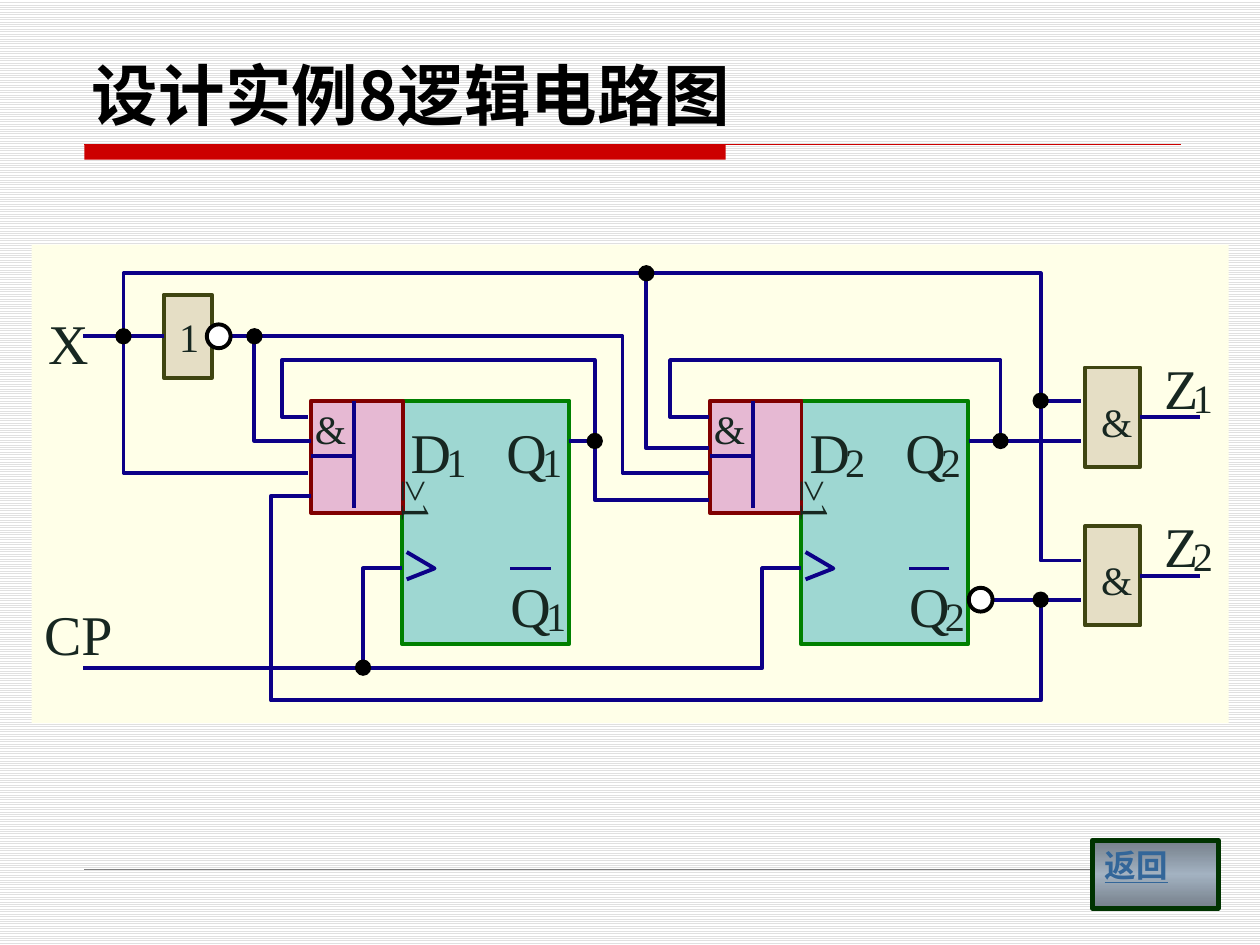
from copy import deepcopy
from dataclasses import dataclass

from lxml.etree import SubElement
from pptx import Presentation
from pptx.dml.color import RGBColor
from pptx.enum.dml import MSO_PATTERN
from pptx.enum.shapes import MSO_CONNECTOR, MSO_SHAPE
from pptx.enum.text import MSO_ANCHOR, MSO_AUTO_SIZE, PP_ALIGN
from pptx.oxml.ns import qn
from pptx.util import Cm, Pt


@dataclass(frozen=True)
class Theme:
    stripe: str = "E0E0E0"
    white: str = "FFFFFF"
    black: str = "000000"
    red: str = "CC0000"
    grey: str = "808080"
    panel: str = "FFFFE8"
    wire: str = "0C0087"
    label: str = "172721"
    register: str = "9ED7D2"
    register_edge: str = "008000"
    selector: str = "E6B9D3"
    selector_edge: str = "800000"
    gate: str = "E5DEC5"
    gate_edge: str = "3F4511"
    button_dark: str = "757F8A"
    button_light: str = "A3B2C1"
    button_edge: str = "003300"
    link: str = "336699"
    serif: str = "Times New Roman"
    chinese: str = "Noto Sans CJK SC"
    title_size: float = 38
    big: float = 32
    small: float = 23
    button_size: float = 18
    line: float = 2.25


THEME = Theme()
STAGE_STEP = 8.04
GATE_STEP = 3.2


def rgb(value):
    return RGBColor.from_string(value)


def style_span(span, size, color, latin, bold=False, east_asian=None):
    span.font.size = Pt(size)
    span.font.color.rgb = rgb(color)
    span.font.name = latin
    span.font.bold = bold
    if east_asian:
        SubElement(span.font._element, qn("a:ea")).set("typeface", east_asian)


def add_block(parent, kind, left, top, width, height, fill, edge=None, weight=THEME.line):
    block = parent.shapes.add_shape(kind, Cm(left), Cm(top), Cm(width), Cm(height))
    block.shadow.inherit = False
    block.fill.solid()
    block.fill.fore_color.rgb = rgb(fill)
    if edge:
        block.line.color.rgb = rgb(edge)
        block.line.width = Pt(weight)
    else:
        block.line.fill.background()
    return block


def add_circle(parent, x, y, size, fill, edge=None):
    add_block(parent, MSO_SHAPE.OVAL, x - size / 2, y - size / 2, size, size, fill, edge)


def add_line(parent, start, end, color=THEME.wire, weight=THEME.line):
    line = parent.shapes.add_connector(
        MSO_CONNECTOR.STRAIGHT, Cm(start[0]), Cm(start[1]), Cm(end[0]), Cm(end[1]))
    line.line.color.rgb = rgb(color)
    line.line.width = Pt(weight)
    SubElement(line._element.spPr, qn("a:effectLst"))
    return line


def add_wire(parent, *points):
    corners = [(Cm(x), Cm(y)) for x, y in points]
    builder = parent.shapes.build_freeform(*corners[0])
    builder.add_line_segments(corners[1:], close=False)
    wire = builder.convert_to_shape()
    wire.shadow.inherit = False
    wire.fill.background()
    wire.line.color.rgb = rgb(THEME.wire)
    wire.line.width = Pt(THEME.line)


def add_label(parent, text, left, top, width, size=THEME.big):
    height = 1.37 if size == THEME.big else 0.97
    box = parent.shapes.add_textbox(Cm(left), Cm(top), Cm(width), Cm(height))
    frame = box.text_frame
    frame.margin_left = frame.margin_top = frame.margin_right = frame.margin_bottom = 0
    frame.word_wrap = False
    frame.auto_size = MSO_AUTO_SIZE.SHAPE_TO_FIT_TEXT
    frame.text = text
    style_span(frame.paragraphs[0].runs[0], size, THEME.label, THEME.serif)
    return box


def add_signal(parent, letter, digit, left, top, width=0.97, shift=0.72):
    add_label(parent, letter, left, top, width)
    add_label(parent, digit, left + shift, top + 0.4, 0.56, THEME.small)


def add_stage(parent, number):
    offset = (number - 1) * STAGE_STEP
    digit = str(number)
    body = 8.1 + offset
    selector = 6.27 + offset
    divider = selector + 0.87
    add_block(parent, MSO_SHAPE.RECTANGLE, body, 8.08, 3.38, 4.9,
              THEME.register, THEME.register_edge)
    add_block(parent, MSO_SHAPE.RECTANGLE, selector, 8.08, 1.85, 2.26,
              THEME.selector, THEME.selector_edge)
    add_line(parent, (divider, 8.08), (divider, 10.24))
    add_line(parent, (divider, 9.2), (selector, 9.2))
    add_line(parent, (body + 3, 11.46), (body + 2.19, 11.46))
    add_wire(parent, (body + 0.1, 11.13), (body + 0.66, 11.46), (body + 0.1, 11.68))
    add_label(parent, "&", selector + 0.08, 8.15, 0.81, THEME.small)
    add_label(parent, "≥1", body - 0.12, 9.65, 0.89, THEME.small).rotation = 90
    add_signal(parent, "D", digit, body + 0.18, 8.41)
    add_signal(parent, "Q", digit, body + 2.11, 8.41)
    add_signal(parent, "Q", digit, body + 2.19, 11.53)


def add_output(parent, number):
    top = 7.41 + (number - 1) * GATE_STEP
    middle = top + 1
    gate = add_block(parent, MSO_SHAPE.RECTANGLE, 21.87, top, 1.12, 2,
                     THEME.gate, THEME.gate_edge)
    add_line(parent, (22.99, middle), (24.2, middle)).begin_connect(gate, 3)
    add_label(parent, "&", 22.2, top + 0.59, 0.81, THEME.small)
    add_signal(parent, "Z", str(number), 23.47, top - 0.29, 0.89, 0.58)


def add_input(parent):
    inverter = add_block(parent, MSO_SHAPE.RECTANGLE, 3.3, 5.94, 0.97, 1.68,
                         THEME.gate, THEME.gate_edge)
    add_line(parent, (1.68, 6.78), (3.3, 6.78)).end_connect(inverter, 1)
    add_label(parent, "1", 3.61, 6.3, 0.56, THEME.small)
    add_label(parent, "X", 0.97, 6.22, 0.97)
    add_label(parent, "CP", 0.89, 12.09, 1.45)


def add_wiring(parent):
    add_line(parent, (21.79, 12.09), (19.53, 12.09))
    add_line(parent, (21.79, 8.89), (19.53, 8.89))
    routes = [
        [(8.1, 11.46), (7.32, 11.46), (7.32, 13.46), (1.68, 13.46)],
        [(7.32, 13.46), (15.37, 13.46), (15.37, 11.46), (16.15, 11.46)],
        [(20.98, 12.09), (20.98, 14.12), (5.46, 14.12), (5.46, 10), (6.27, 10)],
        [(2.49, 6.48), (2.49, 9.53), (6.2, 9.53)],
        [(14.3, 10.08), (11.99, 10.08), (11.99, 8.89), (11.48, 8.89)],
        [(14.3, 9.53), (12.55, 9.53), (12.55, 6.78), (4.65, 6.78)],
        [(2.49, 6.48), (2.49, 5.51), (13.03, 5.51), (13.03, 9.04), (14.3, 9.04)],
        [(21.79, 8.08), (20.98, 8.08), (20.98, 5.51), (12.95, 5.51)],
        [(20.98, 8.08), (20.98, 11.3), (21.79, 11.3)],
        [(20.17, 8.89), (20.17, 7.26), (13.51, 7.26), (13.51, 8.41), (14.3, 8.41)],
        [(5.13, 6.78), (5.13, 8.89), (6.27, 8.89)],
        [(11.99, 8.89), (11.99, 7.26), (5.69, 7.26), (5.69, 8.41), (6.2, 8.41)],
    ]
    for route in routes:
        add_wire(parent, *route)
    junctions = [(2.49, 6.78), (13.03, 5.51), (20.98, 8.08), (20.17, 8.89),
                 (20.98, 12.09), (11.99, 8.89), (7.32, 13.46), (5.13, 6.78)]
    for x, y in junctions:
        add_circle(parent, x, y, 0.33, THEME.black)
    for x, y in [(4.41, 6.78), (19.77, 12.09)]:
        add_circle(parent, x, y, 0.48, THEME.white, THEME.black)


def add_title(page):
    title = page.shapes.title
    title.left, title.top, title.width, title.height = Cm(1.6), Cm(0.71), Cm(20.62), Cm(2.11)
    frame = title.text_frame
    frame.text = "设计实例8"
    frame.vertical_anchor = MSO_ANCHOR.BOTTOM
    para = frame.paragraphs[0]
    para.alignment = PP_ALIGN.LEFT
    para.add_run().text = "逻辑电路图"
    for span, latin in zip(para.runs, (THEME.chinese, "Arial Narrow")):
        style_span(span, THEME.title_size, THEME.black, latin, True, THEME.chinese)


def add_frame(page):
    fill = page.background.fill
    fill.patterned()
    fill.pattern = MSO_PATTERN.LIGHT_HORIZONTAL
    fill.fore_color.rgb = rgb(THEME.stripe)
    fill.back_color.rgb = rgb(THEME.white)
    add_block(page, MSO_SHAPE.RECTANGLE, 1.7, 2.92, 12.93, 0.3, THEME.red)
    add_line(page, (1.7, 2.92), (23.8, 2.92), THEME.red, 0.75)
    add_line(page, (1.7, 17.53), (23.7, 17.53), THEME.grey, 0.25)


def add_button(page):
    button = add_block(page, MSO_SHAPE.RECTANGLE, 22.02, 16.94, 2.54, 1.37,
                       THEME.button_dark, THEME.button_edge, 2.75)
    button.fill.gradient()
    button.fill.gradient_angle = 90
    first = button.fill._fill._gradFill.gsLst[0]
    first.addnext(deepcopy(first))
    colors = (THEME.button_dark, THEME.button_light, THEME.button_dark)
    for index, (stop, color) in enumerate(zip(button.fill.gradient_stops, colors)):
        stop.position = index / 2
        stop.color.rgb = rgb(color)
    frame = button.text_frame
    frame.text = "返回"
    frame.vertical_anchor = MSO_ANCHOR.TOP
    para = frame.paragraphs[0]
    para.alignment = PP_ALIGN.LEFT
    span = para.runs[0]
    style_span(span, THEME.button_size, THEME.link, "Roboto", True, THEME.chinese)
    span.font.underline = True


def main():
    deck = Presentation()
    deck.slide_width, deck.slide_height = Cm(25.4), Cm(19.05)
    page = deck.slides.add_slide(deck.slide_layouts[5])
    add_frame(page)
    add_title(page)
    circuit = page.shapes.add_group_shape()
    add_block(circuit, MSO_SHAPE.RECTANGLE, 0.64, 4.93, 24.13, 9.65, THEME.panel)
    add_input(circuit)
    for number in (1, 2):
        add_stage(circuit, number)
        add_output(circuit, number)
    add_wiring(circuit)
    add_button(page)
    deck.save("out.pptx")


if __name__ == "__main__":
    main()
